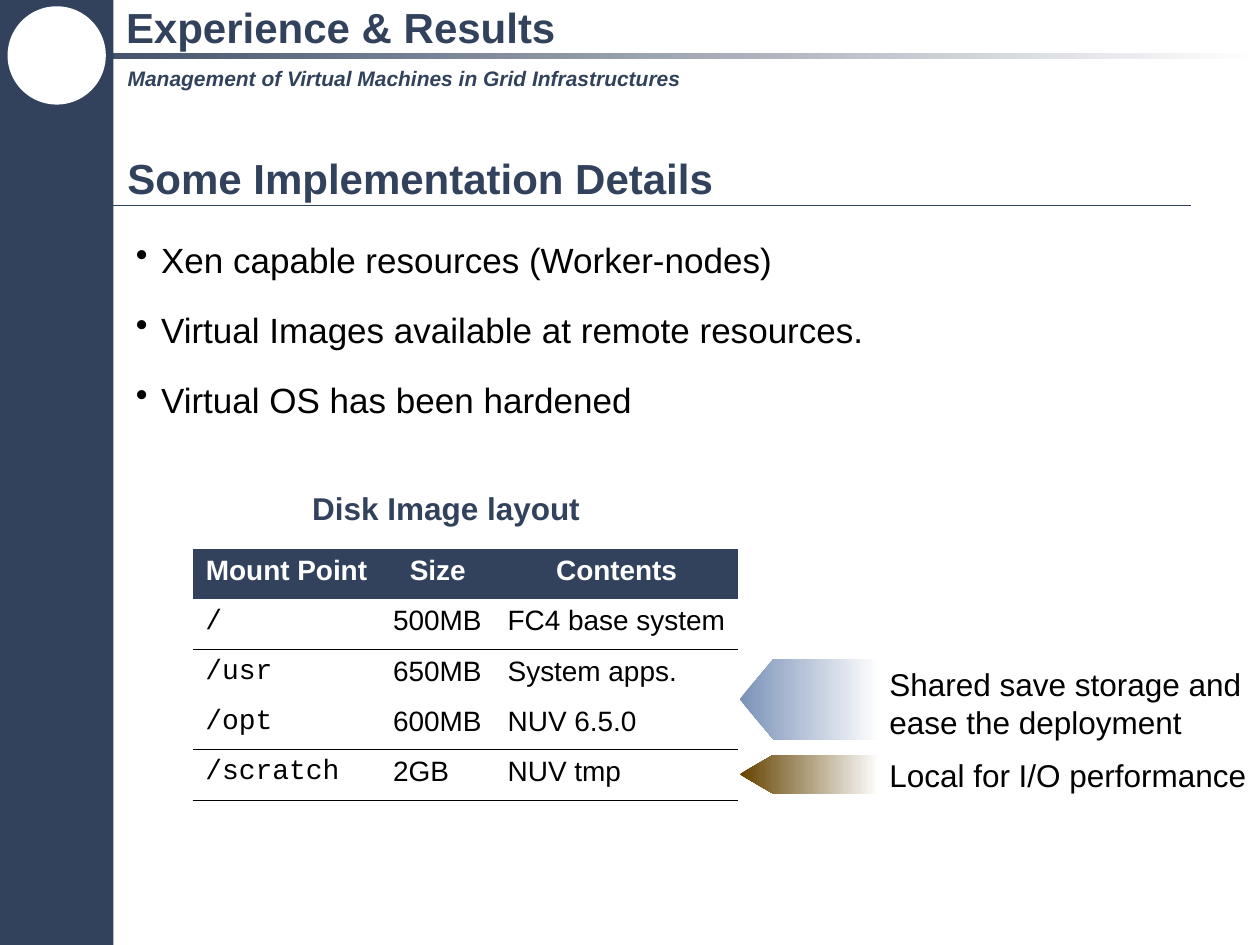
import pptx
import pptx.util
import pptx.dml.color
import pptx.enum.shapes
import pptx.enum.text
import pptx.oxml
import pptx.oxml.ns
from pptx.util import Inches, Pt

COLORS = {"navy": "32425D", "white": "FFFFFF", "black": "000000",
          "blue": "7A92B8", "brown": "644300", "fade": "FEFEFE"}
ALIGN = pptx.enum.text.PP_ALIGN
AUTO_SIZE = pptx.enum.text.MSO_AUTO_SIZE
SHAPES = pptx.enum.shapes.MSO_SHAPE
RGB = pptx.dml.color.RGBColor.from_string
NAMESPACE = pptx.oxml.ns.nsdecls("a")


def write_text(text_frame, text, size, color="black", bold=False, italic=False,
               align=ALIGN.LEFT, font="Arial", wrap=True):
    text_frame.text = text
    text_frame.word_wrap = wrap
    for paragraph in text_frame.paragraphs:
        paragraph.alignment = align
        for run in paragraph.runs:
            run.font.name, run.font.size = font, Pt(size)
            run.font.bold, run.font.italic = bold, italic
            run.font.color.rgb = RGB(COLORS[color])


def finish_shape(shape, start, end=None):
    """Fill solid, or with a left-to-right gradient when end is given."""
    shape.shadow.inherit = False
    shape.line.fill.background()
    if end is None:
        shape.fill.solid()
        shape.fill.fore_color.rgb = RGB(COLORS[start])
    else:
        shape.fill.gradient()
        shape.fill.gradient_angle = 0
        for stop, color in zip(shape.fill.gradient_stops, (start, end)):
            stop.color.rgb = RGB(COLORS[color])


presentation = pptx.Presentation()
presentation.slide_width, presentation.slide_height = Inches(10), Inches(7.5)
slide = presentation.slides.add_slide(presentation.slide_layouts[5])
shapes = slide.shapes

# Header bar, sidebar and emblem
for kind, box, start, end in [
    (SHAPES.RECTANGLE, (0, 0.42, 10, 0.05), "navy", "white"),
    (SHAPES.RECTANGLE, (0, 0, 0.9, 7.5), "navy", None),
    (SHAPES.OVAL, (0.06, 0.05, 0.78, 0.78), "white", None),
]:
    finish_shape(shapes.add_shape(kind, *map(Inches, box)), start, end)

title = shapes.title
title.left, title.top = Inches(0.9), Inches(-0.06)
title.width, title.height = Inches(8.19), Inches(0.55)
write_text(title.text_frame, "Experience & Results", 24, "navy", bold=True)
title.text_frame.auto_size = AUTO_SIZE.NONE
title.text_frame.vertical_anchor = pptx.enum.text.MSO_ANCHOR.MIDDLE

# Headings
for text, box, size, italic, inset in [
    ("Management of Virtual Machines in Grid Infrastructures",
     (0.91, 0.47, 4.6, 0.3), 12, True, 0.1),
    ("Some Implementation Details", (1.01, 1.16, 4.75, 0.5), 24, False, 0),
    ("Disk Image layout", (2.34, 3.83, 2.4, 0.4), 18, False, 0.1),
]:
    heading = shapes.add_textbox(*map(Inches, box))
    heading.text_frame.margin_left = Inches(inset)
    write_text(heading.text_frame, text, size, "navy", bold=True, italic=italic,
               align=ALIGN.CENTER, wrap=False)
    heading.text_frame.auto_size = AUTO_SIZE.SHAPE_TO_FIT_TEXT

rule = shapes.add_connector(pptx.enum.shapes.MSO_CONNECTOR.STRAIGHT,
                            Inches(0.89), Inches(1.63), Inches(9.45), Inches(1.63))
rule.line.color.rgb = RGB(COLORS["navy"])
rule.line.width = Pt(0.75)
rule._element.spPr.append(pptx.oxml.parse_xml(f"<a:effectLst {NAMESPACE}/>"))

# Bullets
bullets = shapes.add_textbox(Inches(0.98), Inches(1.76), Inches(8.57), Inches(1.65))
write_text(bullets.text_frame, "\n".join([
    "Xen capable resources (Worker-nodes)",
    "Virtual Images available at remote resources.",
    "Virtual OS has been hardened",
]), 20, align=ALIGN.JUSTIFY)
for index, paragraph in enumerate(bullets.text_frame.paragraphs):
    paragraph.line_spacing = 1.25
    paragraph.space_before = Pt(5 if index else 0)
    paragraph.space_after = Pt(5)
    properties = paragraph._p.get_or_add_pPr()
    properties.set("marL", str(Inches(0.2)))
    properties.set("indent", str(Inches(-0.2)))
    properties.append(pptx.oxml.parse_xml(f'<a:buChar {NAMESPACE} char="•"/>'))

# Disk image table
rows = [
    ("Mount Point", "Size", "Contents"),
    ("/", "500MB", "FC4 base system"),
    ("/usr", "650MB", "System apps."),
    ("/opt", "600MB", "NUV 6.5.0"),
    ("/scratch", "2GB", "NUV tmp"),
]
column_widths = (1.49, 0.91, 1.93)
ruled_rows = (1, 3, 4)
table = shapes.add_table(len(rows), len(column_widths), Inches(1.53), Inches(4.36),
                         Inches(sum(column_widths)), Inches(1.99)).table
table.first_row = table.horz_banding = False
style = table._tbl.tblPr.find(pptx.oxml.ns.qn("a:tableStyleId"))
style.text = "{2D5ABB26-0587-4C30-8999-92F81FD0307C}"  # no style, no grid
for column, width in zip(table.columns, column_widths):
    column.width = Inches(width)
for row_index, row in enumerate(rows):
    for column_index, text in enumerate(row):
        cell = table.cell(row_index, column_index)
        if row_index == 0:
            cell.fill.solid()
            cell.fill.fore_color.rgb = RGB(COLORS["navy"])
            write_text(cell.text_frame, text, 16, "white", bold=True,
                       align=ALIGN.CENTER)
        else:
            cell.fill.background()
            write_text(cell.text_frame, text, 16,
                       font="Arial" if column_index else "Courier New")
        if row_index in ruled_rows:
            cell._tc.get_or_add_tcPr().insert(0, pptx.oxml.parse_xml(
                f'<a:lnB {NAMESPACE} w="{Pt(0.45)}"><a:solidFill>'
                f'<a:srgbClr val="{COLORS["black"]}"/></a:solidFill></a:lnB>'))

# Arrows pointing at the table, with their notes
for text, color, top, height, note_top, note_height in [
    ("Shared save storage and ease the deployment", "blue", 5.23, 0.64, 5.23, 0.7),
    ("Local for I/O performance", "brown", 5.99, 0.31, 5.95, 0.4),
]:
    tip, shoulder, tail, bottom = 5.87, 6.14, 6.97, top + height
    outline = shapes.build_freeform(Inches(tail), Inches(bottom))
    outline.add_line_segments([(Inches(x), Inches(y)) for x, y in [
        (shoulder, bottom), (tip, top + height / 2), (shoulder, top), (tail, top)]])
    finish_shape(outline.convert_to_shape(), color, "fade")
    note = shapes.add_textbox(Inches(6.96), Inches(note_top),
                              Inches(3.04), Inches(note_height))
    write_text(note.text_frame, text, 18)

presentation.save("out.pptx")
